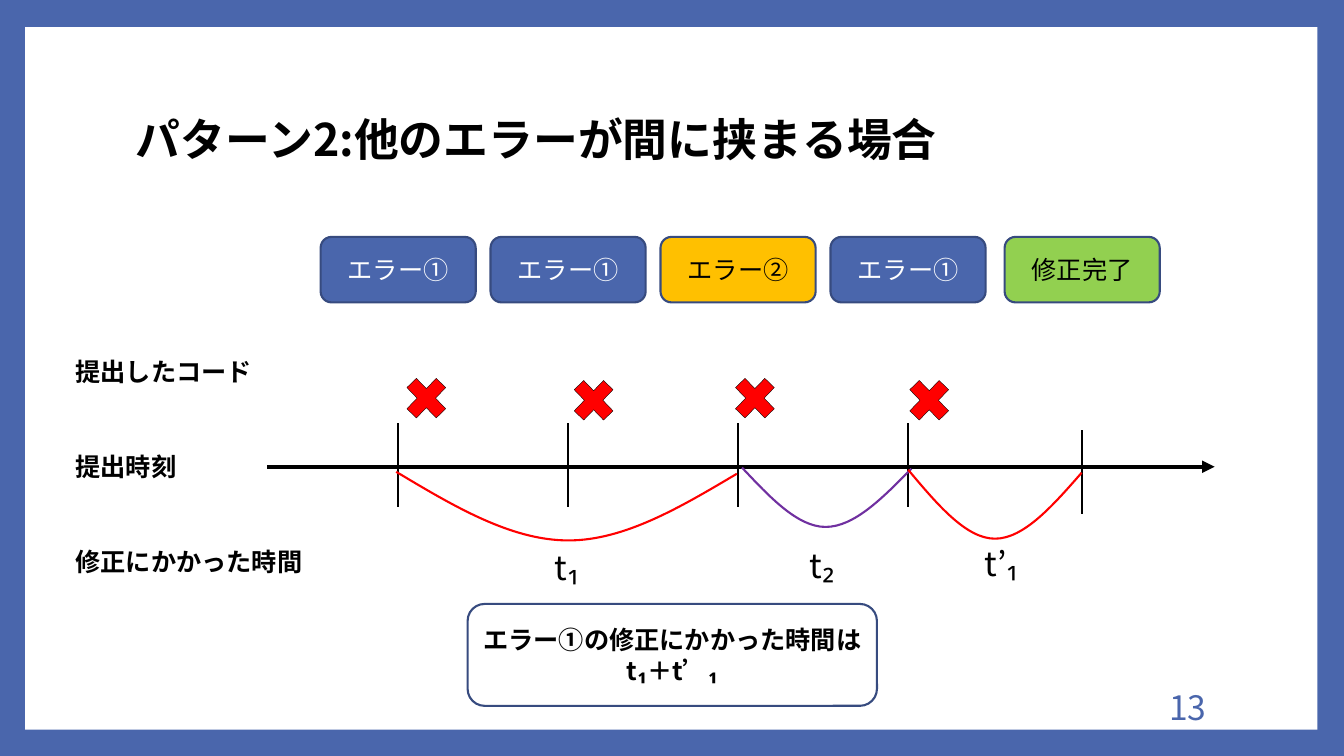
from lxml.etree import SubElement
from pptx import Presentation
from pptx.dml.color import RGBColor
from pptx.enum.shapes import MSO_CONNECTOR, MSO_SHAPE
from pptx.enum.text import MSO_ANCHOR, PP_ALIGN
from pptx.oxml.ns import qn
from pptx.util import Pt

FONT = "Noto Sans CJK JP"
BLUE = RGBColor(0x4A, 0x66, 0xAC)
NAVY = RGBColor(0x37, 0x4B, 0x7F)
WHITE = RGBColor(0xFF, 0xFF, 0xFF)
BLACK = RGBColor(0, 0, 0)
RED = RGBColor(0xFF, 0, 0)
PURPLE = RGBColor(0x70, 0x30, 0xA0)
AMBER = RGBColor(0xFF, 0xC0, 0)
GREEN = RGBColor(0x92, 0xD0, 0x50)

STEP_WIDTH = 110.8
STEP_PITCH = 121.4
FIRST_TICK = 284.4
AXIS_Y = 333.4


def write(shape, text, size, color=BLACK, bold=False, align=PP_ALIGN.LEFT,
          anchor=MSO_ANCHOR.TOP):
    frame = shape.text_frame
    frame.word_wrap = True
    frame.vertical_anchor = anchor
    paragraph = frame.paragraphs[0]
    paragraph.text = text
    paragraph.alignment = align
    font = paragraph.font
    font.size = Pt(size)
    font.bold = bold
    font.color.rgb = color
    font.name = FONT
    defaults = paragraph._p.pPr.find(qn("a:defRPr"))
    SubElement(defaults, qn("a:ea")).set("typeface", FONT)
    return paragraph


def add_label(slide, left, top, width, height, text, size, **style):
    box = slide.shapes.add_textbox(Pt(left), Pt(top), Pt(width), Pt(height))
    return write(box, text, size, **style)


def add_block(slide, kind, left, top, width, height, fill, line=None, weight=1.5):
    block = slide.shapes.add_shape(kind, Pt(left), Pt(top), Pt(width), Pt(height))
    block.shadow.inherit = False
    if fill is None:
        block.fill.background()
    else:
        block.fill.solid()
        block.fill.fore_color.rgb = fill
    if line is None:
        block.line.fill.background()
    else:
        block.line.color.rgb = line
        block.line.width = Pt(weight)
    return block


def add_card(slide, left, top, width, height, fill, text, color, bold=False):
    card = add_block(slide, MSO_SHAPE.ROUNDED_RECTANGLE, left, top, width, height,
                     fill, NAVY)
    write(card, text, 18, color, bold, PP_ALIGN.CENTER, MSO_ANCHOR.MIDDLE)


def add_line(slide, x1, y1, x2, y2, weight):
    line = slide.shapes.add_connector(
        MSO_CONNECTOR.STRAIGHT, Pt(x1), Pt(y1), Pt(x2), Pt(y2))
    line.line.color.rgb = BLACK
    line.line.width = Pt(weight)
    SubElement(line._element.spPr, qn("a:effectLst"))
    return line


def add_arc(slide, start, bottom, end, color):
    (x1, y1), (x2, y2), (x3, y3) = start, bottom, end
    points = [
        (x1 + (x2 - x1) / 3, (y1 + y2) / 2), (x2 - (x2 - x1) / 3, y2), bottom,
        (x2 + (x3 - x2) / 3, y2), (x3 - (x3 - x2) / 3, (y2 + y3) / 2), end,
    ]
    builder = slide.shapes.build_freeform(Pt(x1), Pt(y1))
    builder.add_line_segments([(Pt(x), Pt(y)) for x, y in points], close=False)
    arc = builder.convert_to_shape()
    arc.shadow.inherit = False
    arc.fill.background()
    arc.line.color.rgb = color
    arc.line.width = Pt(1.5)
    segments = list(arc._element.iter(qn("a:lnTo")))
    outline = segments[0].getparent()
    for first in range(0, len(segments), 3):
        curve = SubElement(outline, qn("a:cubicBezTo"))
        for segment in segments[first:first + 3]:
            curve.append(segment[0])
            outline.remove(segment)


def add_timeline(slide, ticks):
    for tick, shift, top in zip(ticks, (0, -1.9, -8.1, -5), (263.5, 265, 263.5, 265)):
        add_block(slide, MSO_SHAPE.MATH_MULTIPLY, tick + shift, top, 40.3, 41.8,
                  RED, BLACK, 0.25)
    axis = add_line(slide, 190.8, AXIS_Y, 867.6, AXIS_Y, 3)
    SubElement(axis.line._get_or_add_ln(), qn("a:tailEnd")).set("type", "triangle")
    for tick in ticks:
        top = 307.4 if tick == ticks[-1] else 302.4
        add_line(slide, tick, top, tick, top + 59.8, 1.5)
    add_arc(slide, (283, 337), (406, 386), (526.3, 338.4), RED)
    add_arc(slide, (530, 334), (589.7, 376.4), (651, 334.8), PURPLE)
    add_arc(slide, (648.7, 335.6), (710.7, 384.8), (772.6, 337.7), RED)
    for left, top, width, text in (
        (383.8, 387.4, 42.5, "t₁"),
        (563.8, 385.9, 46.8, "t₂"),
        (682.6, 384.5, 65.5, "t’₁"),
    ):
        add_label(slide, left, top, width, 36, text, 24, align=PP_ALIGN.CENTER)


def main():
    deck = Presentation()
    deck.slide_width, deck.slide_height = Pt(960), Pt(540)
    slide = deck.slides.add_slide(deck.slide_layouts[6])
    slide.background.fill.solid()
    slide.background.fill.fore_color.rgb = BLUE
    add_block(slide, MSO_SHAPE.RECTANGLE, 18, 19.4, 923, 501.8, WHITE)
    title = add_label(slide, 90, 48.2, 777.6, 106.6, "パターン2:他のエラーが間に挟まる場合",
                      32, bold=True, anchor=MSO_ANCHOR.MIDDLE)
    title.line_spacing = 0.9
    add_label(slide, 734.4, 490.3, 134.6, 28.8, "13", 24, color=BLUE,
              align=PP_ALIGN.RIGHT, anchor=MSO_ANCHOR.MIDDLE)

    for row, (text, width) in enumerate((
        ("提出したコード", 143.3), ("提出時刻", 118), ("修正にかかった時間", 188.6),
    )):
        add_label(slide, 46.8, 251.2 + 67.8 * row, width, 28.8, text, 18, bold=True)

    ticks = [FIRST_TICK + STEP_PITCH * index for index in range(4)] + [773]
    add_timeline(slide, ticks)
    steps = (
        ("エラー①", BLUE, WHITE),
        ("エラー①", BLUE, WHITE),
        ("エラー②", AMBER, BLACK),
        ("エラー①", BLUE, WHITE),
        ("修正完了", GREEN, BLACK),
    )
    for tick, (text, fill, color) in zip(ticks, steps):
        add_card(slide, tick - STEP_WIDTH / 2, 169.2, STEP_WIDTH, 46.8, fill, text, color)
    add_card(slide, 334, 431.4, 292.4, 72.8, None,
             "エラー①の修正にかかった時間はt₁＋t’₁", BLACK, True)
    deck.save("out.pptx")


if __name__ == "__main__":
    main()
